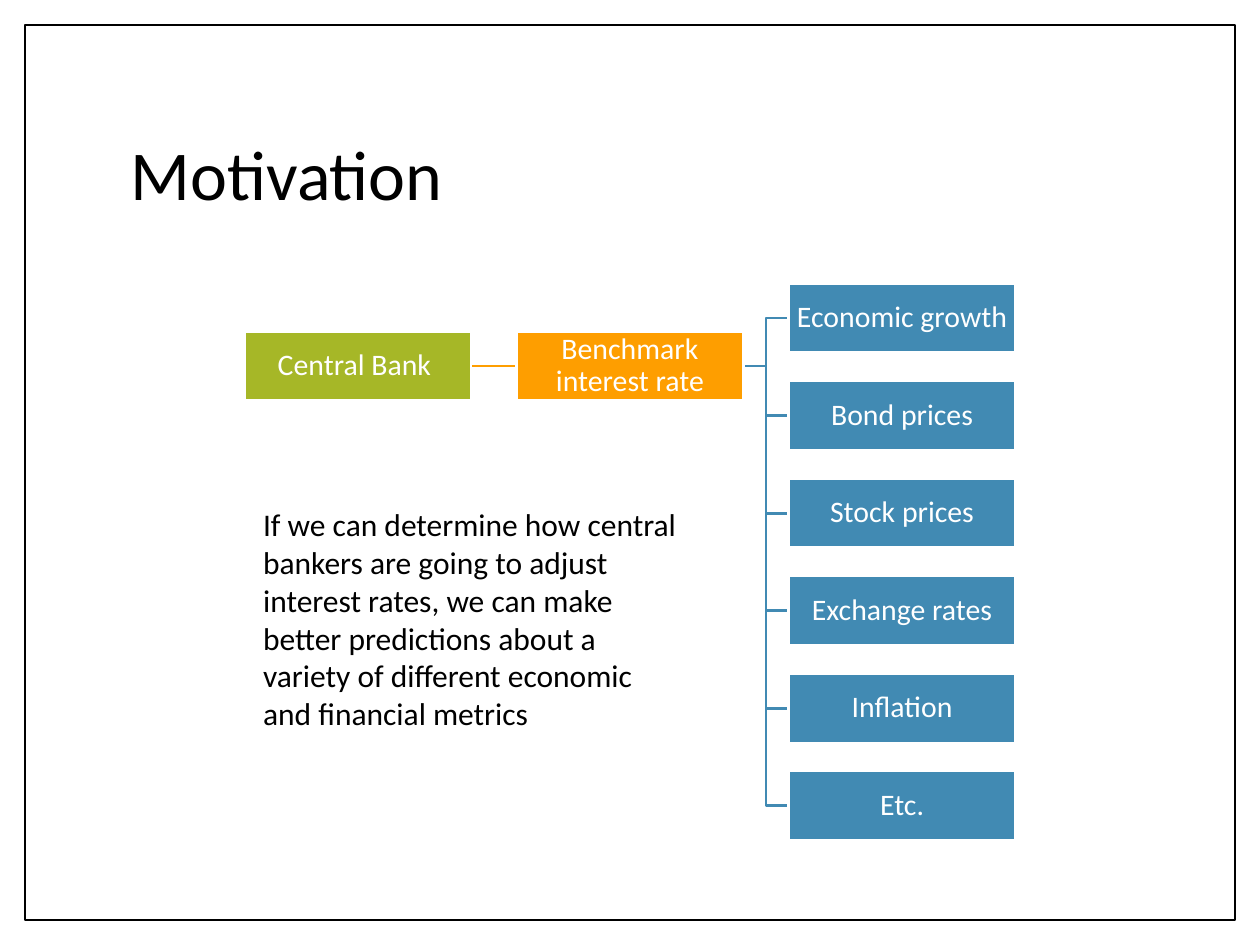
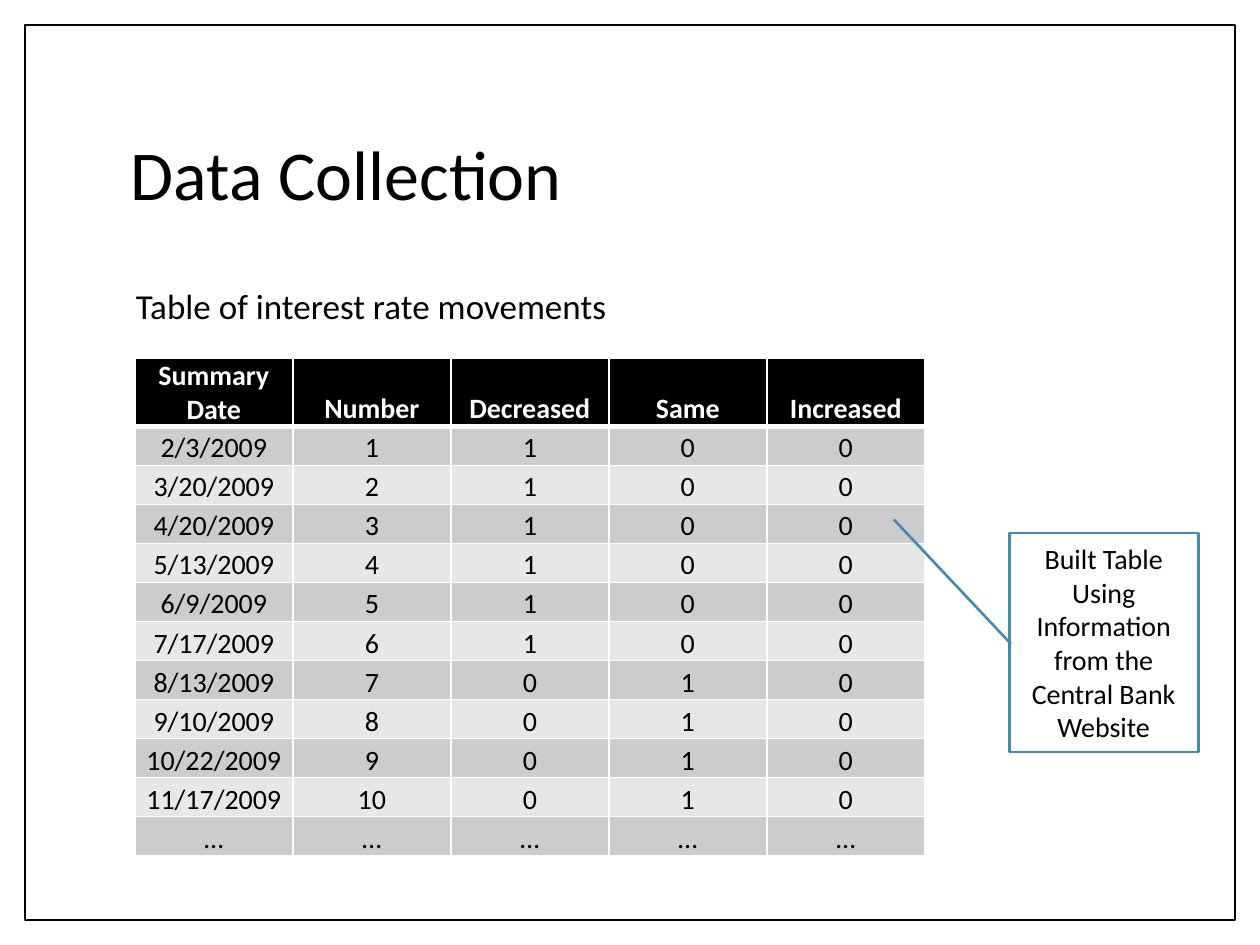
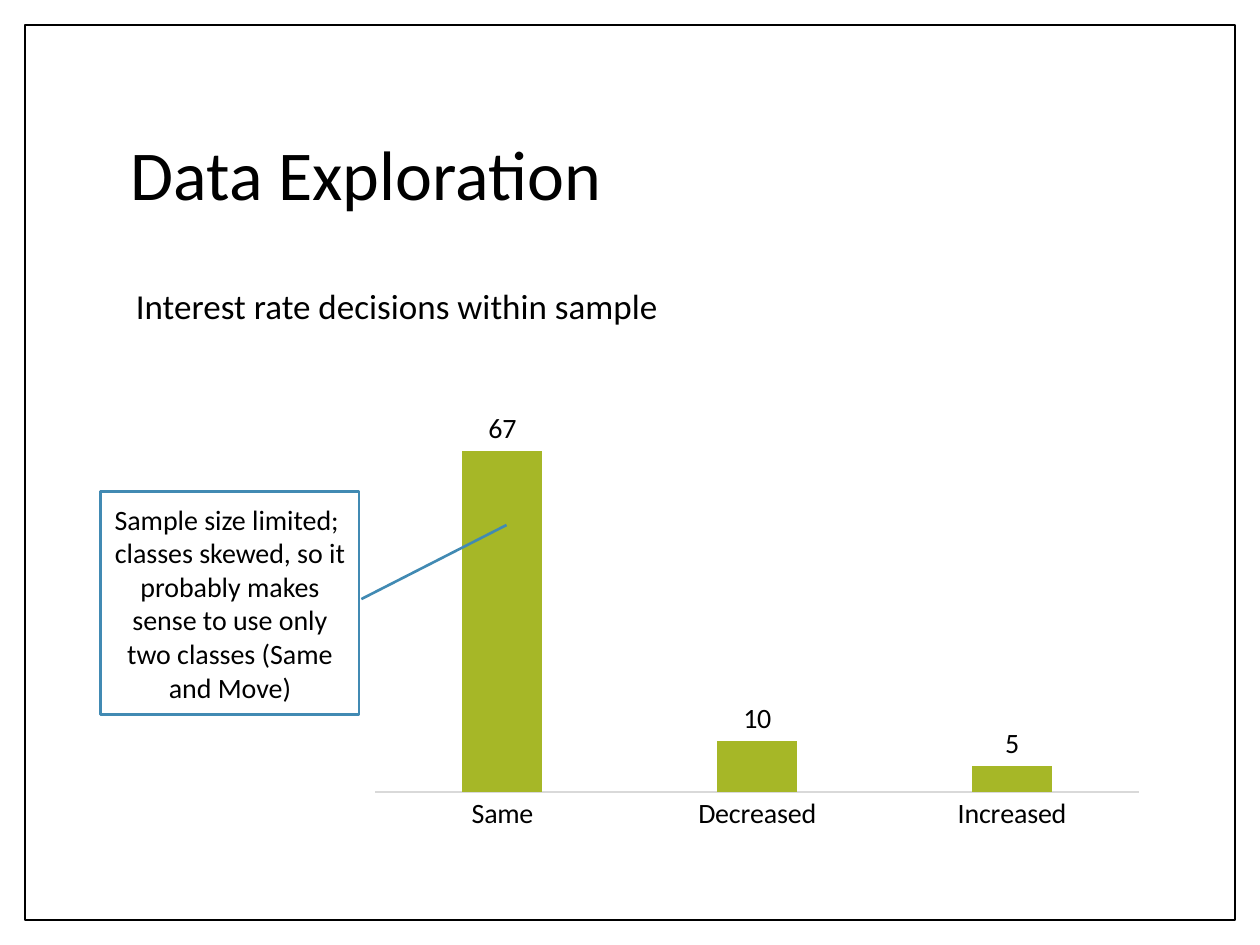
from lxml import etree
from pptx import Presentation
from pptx.chart.data import CategoryChartData
from pptx.dml.color import RGBColor
from pptx.enum.chart import XL_CHART_TYPE, XL_LABEL_POSITION, XL_TICK_MARK
from pptx.enum.shapes import MSO_CONNECTOR, MSO_SHAPE
from pptx.enum.text import MSO_ANCHOR, PP_ALIGN
from pptx.oxml.ns import qn
from pptx.util import Inches, Pt

FONT = "Calibri"
COLORS = {
    "black": "000000", "white": "FFFFFF", "blue": "418AB3", "green": "A6B727",
    "orange": "FE9E00", "band_dark": "CCCCCC", "band_light": "E7E7E7", "axis": "D9D9D9",
}

# Content: motivation
BANK = "Central Bank "
RATE = "Benchmark interest rate"
EFFECTS = ["Economic growth", "Bond prices", "Stock prices", "Exchange rates", "Inflation", "Etc."]
REASON = ("If we can determine how central bankers are going to adjust interest rates, we can make "
          "better predictions about a variety of different economic and financial metrics")

# Content: data collection
MOVEMENTS = [
    ("Summary Date", "Number", "Decreased", "Same", "Increased"),
    ("2/3/2009", "1", "1", "0", "0"),
    ("3/20/2009", "2", "1", "0", "0"),
    ("4/20/2009", "3", "1", "0", "0"),
    ("5/13/2009", "4", "1", "0", "0"),
    ("6/9/2009", "5", "1", "0", "0"),
    ("7/17/2009", "6", "1", "0", "0"),
    ("8/13/2009", "7", "0", "1", "0"),
    ("9/10/2009", "8", "0", "1", "0"),
    ("10/22/2009", "9", "0", "1", "0"),
    ("11/17/2009", "10", "0", "1", "0"),
    ("…",) * 5,
]
TABLE_NOTE = "Built Table Using Information from the Central Bank Website"

# Content: data exploration
DECISIONS = {"Same": 67, "Decreased": 10, "Increased": 5}
SAMPLE_NOTE = ("Sample size limited; \vclasses skewed, so it probably makes sense "
               "to use only two classes (Same and Move)")


def rgb(name):
    return RGBColor.from_string(COLORS[name])


def set_font(font, size, color="black", bold=False):
    font.name, font.size, font.bold = FONT, Pt(size), bold
    font.color.rgb = rgb(color)


def write(frame, text, size, color="black", align=PP_ALIGN.LEFT, anchor=MSO_ANCHOR.TOP,
          spacing=None, bold=False):
    frame.word_wrap = True
    frame.vertical_anchor = anchor
    paragraph = frame.paragraphs[0]
    paragraph.text = text
    paragraph.alignment = align
    paragraph.line_spacing = spacing
    for run in paragraph.runs:
        set_font(run.font, size, color, bold)
    return paragraph


def add_text(slide, box, text, size, **style):
    textbox = slide.shapes.add_textbox(*map(Inches, box))
    return write(textbox.text_frame, text, size, **style)


def add_outlined(slide, preset, box, fill, line, width):
    shape = slide.shapes.add_shape(preset, *map(Inches, box))
    shape.shadow.inherit = False
    shape.fill.solid()
    shape.fill.fore_color.rgb = rgb(fill)
    shape.line.color.rgb = rgb(line)
    shape.line.width = Pt(width)
    return shape


def add_titled_slide(prs, title, subtitle=None):
    slide = prs.slides.add_slide(prs.slide_layouts[6])
    add_outlined(slide, MSO_SHAPE.RECTANGLE, (0.2, 0.2, 9.6, 7.1), "white", "black", 1)
    add_text(slide, (0.94, 0.67, 8.1, 1.48), title, 40, anchor=MSO_ANCHOR.MIDDLE, spacing=0.9)
    if subtitle:
        paragraph = add_text(slide, (0.94, 2.25, 8.1, 4.42), subtitle, 20, spacing=0.9)
        paragraph.space_before = Pt(10)
        paragraph._p.get_or_add_pPr().set("marL", str(Inches(0.04)))
    return slide


def add_callout(slide, box, text, pointer):
    callout = add_outlined(slide, MSO_SHAPE.LINE_CALLOUT_1, box, "white", "blue", 1.5)
    for index, value in enumerate(pointer):
        callout.adjustments[index] = value
    write(callout.text_frame, text, 16, align=PP_ALIGN.CENTER, anchor=MSO_ANCHOR.MIDDLE)


def add_node(slide, column, top, text, fill):
    width, gap = 1.8, 0.36
    box = (1.94 + column * (width + gap), top, width, 0.55)
    node = add_outlined(slide, MSO_SHAPE.RECTANGLE, box, fill, "white", 1.5)
    frame = node.text_frame
    frame.margin_left = frame.margin_right = frame.margin_top = frame.margin_bottom = Inches(0.01)
    write(frame, text, 17, "white", PP_ALIGN.CENTER, MSO_ANCHOR.MIDDLE, 0.9)
    return node


def link(slide, cause, effect, color, kind, first_node):
    connector = slide.shapes.add_connector(kind, 0, 0, 0, 0)
    connector.begin_connect(cause, 3)
    connector.end_connect(effect, 1)
    connector.line.color.rgb = rgb(color)
    connector.line.width = Pt(1.5)
    etree.SubElement(connector.element.spPr, qn("a:effectLst"))
    # Links lie behind the nodes, whose white outlines trim the ends
    first_node.element.addprevious(connector.element)


def set_borders(cell, **widths):
    properties = cell._tc.get_or_add_tcPr()
    for position, (side, width) in enumerate(widths.items()):
        line = etree.Element(qn(f"a:{side}"), w=str(Pt(width)))
        fill = etree.SubElement(line, qn("a:solidFill"))
        etree.SubElement(fill, qn("a:srgbClr"), val=COLORS["white"])
        properties.insert(position, line)


def build_motivation(prs):
    slide = add_titled_slide(prs, "Motivation")
    first_top, last_top, cause_top = 2.25, 6.12, 2.63
    pitch = (last_top - first_top) / (len(EFFECTS) - 1)
    bank = add_node(slide, 0, cause_top, BANK, "green")
    rate = add_node(slide, 1, cause_top, RATE, "orange")
    effects = [add_node(slide, 2, first_top + row * pitch, text, "blue")
               for row, text in enumerate(EFFECTS)]
    link(slide, bank, rate, "orange", MSO_CONNECTOR.STRAIGHT, bank)
    for effect in effects:
        link(slide, rate, effect, "blue", MSO_CONNECTOR.ELBOW, bank)
    add_text(slide, (1.99, 3.96, 3.5, 1.92), REASON, 18)


def build_collection(prs):
    slide = add_titled_slide(prs, "Data Collection", "Table of interest rate movements")
    rows, columns = len(MOVEMENTS), len(MOVEMENTS[0])
    table = slide.shapes.add_table(rows, columns, *map(Inches, (1.07, 2.84, 6.27, 3.94))).table
    for r, values in enumerate(MOVEMENTS):
        header = r == 0
        table.rows[r].height = Inches(0.54 if header else 0.31)
        fill = "black" if header else ("band_dark" if r % 2 else "band_light")
        for c, value in enumerate(values):
            cell = table.cell(r, c)
            cell.margin_left = cell.margin_right = cell.margin_top = Inches(0.01)
            cell.margin_bottom = 0
            cell.fill.solid()
            cell.fill.fore_color.rgb = rgb(fill)
            set_borders(cell, lnL=1, lnR=1, lnT=3 if r == 1 else 1, lnB=3 if header else 1)
            write(cell.text_frame, value, 16, "white" if header else "black",
                  PP_ALIGN.CENTER, bold=header)
            cell.vertical_anchor = MSO_ANCHOR.BOTTOM
    add_callout(slide, (8.01, 4.23, 1.5, 1.74), TABLE_NOTE, (0.506, 0.009, -0.061, -0.61))


def build_exploration(prs):
    slide = add_titled_slide(prs, "Data Exploration", "Interest rate decisions within sample")
    data = CategoryChartData()
    data.categories = list(DECISIONS)
    data.add_series("Series 1", list(DECISIONS.values()))
    chart = slide.shapes.add_chart(XL_CHART_TYPE.COLUMN_CLUSTERED,
                                   *map(Inches, (2.85, 2.98, 6.32, 3.69)), data).chart
    chart.has_title = chart.has_legend = False
    set_font(chart.font, 16)

    # Axes
    chart.value_axis.visible = False
    chart.value_axis.has_major_gridlines = False
    axis = chart.category_axis
    axis.major_tick_mark = axis.minor_tick_mark = XL_TICK_MARK.NONE
    axis.format.line.color.rgb = rgb("axis")
    axis.format.line.width = Pt(0.75)
    set_font(axis.tick_labels.font, 16)

    # Columns and their labels
    plot = chart.plots[0]
    plot.gap_width, plot.overlap, plot.vary_by_categories = 219, -27, False
    column_fill = plot.series[0].format.fill
    column_fill.solid()
    column_fill.fore_color.rgb = rgb("green")
    labels = plot.series[0].data_labels
    labels.show_value = True
    labels.position = XL_LABEL_POSITION.OUTSIDE_END
    set_font(labels.font, 16)

    add_callout(slide, (0.8, 3.9, 2.05, 1.77), SAMPLE_NOTE, (0.483, 1.009, 0.151, 1.571))


def main():
    prs = Presentation()
    prs.slide_width, prs.slide_height = Inches(10), Inches(7.5)
    build_motivation(prs)
    build_collection(prs)
    build_exploration(prs)
    prs.save("out.pptx")


if __name__ == "__main__":
    main()
